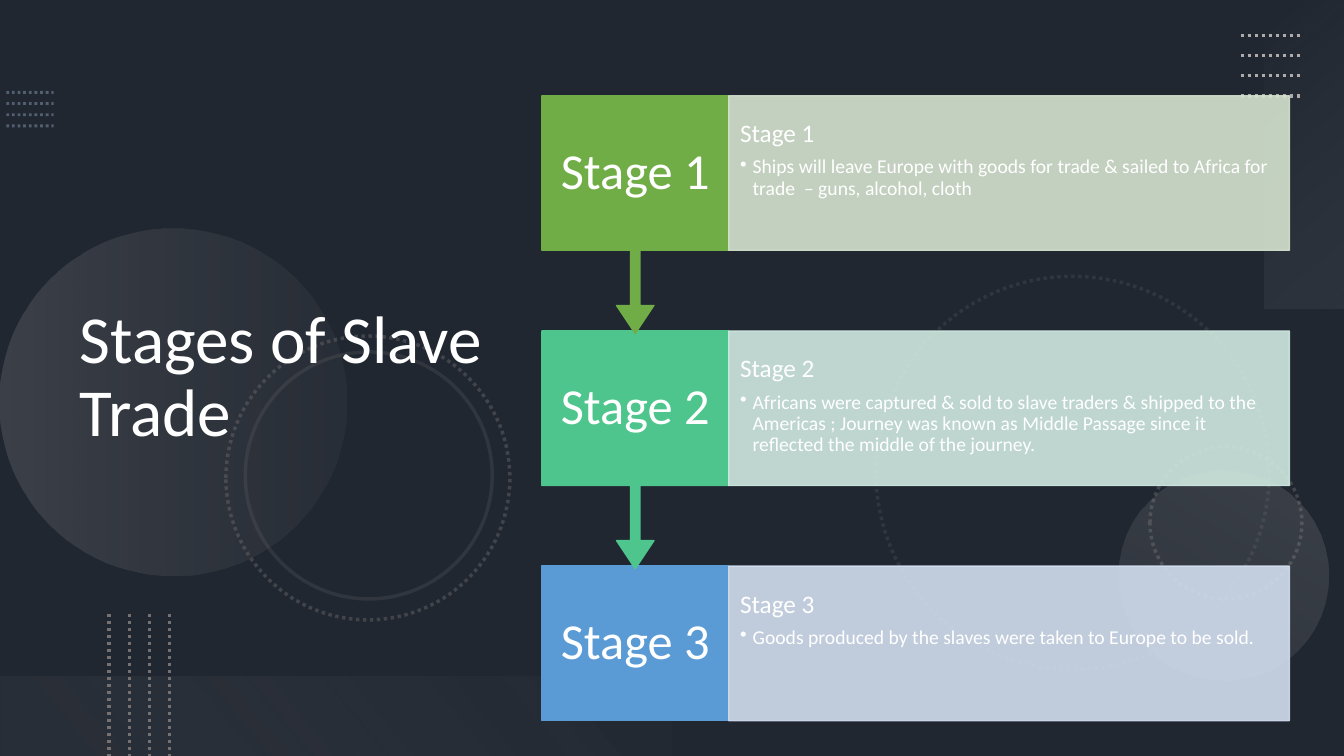
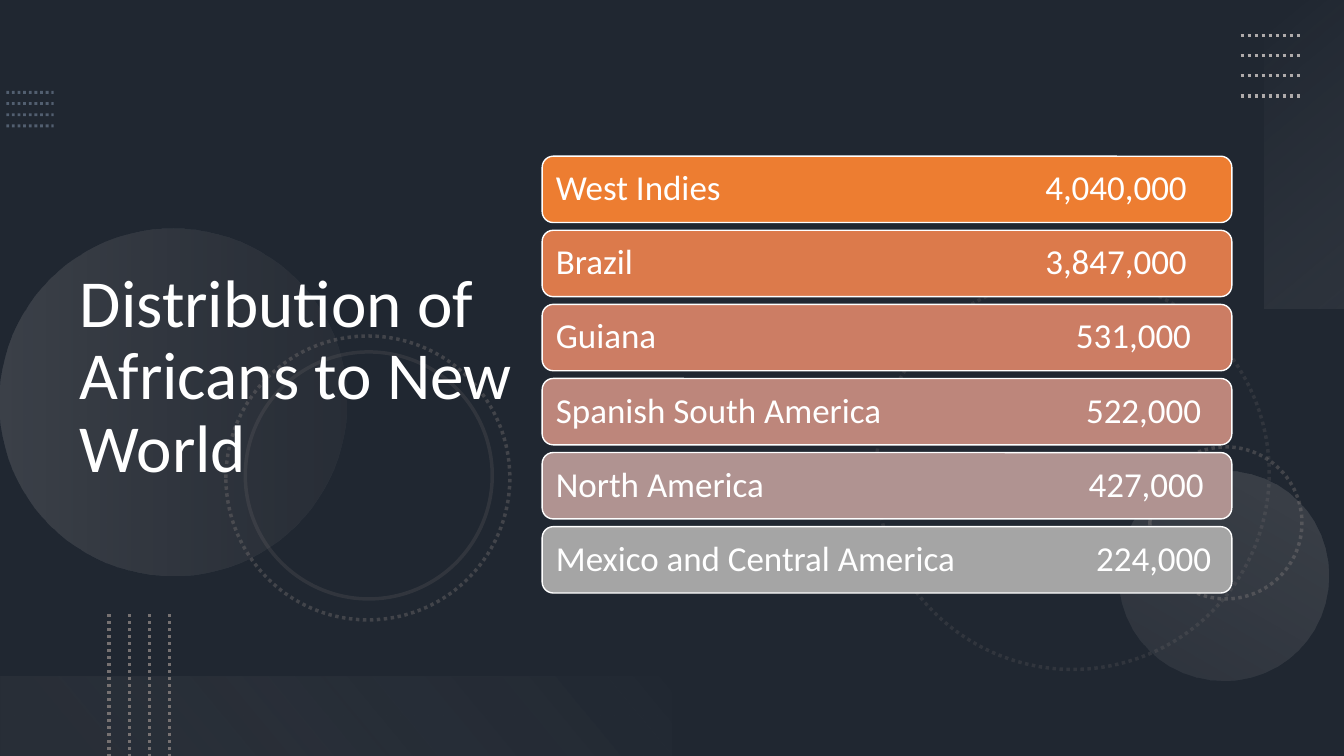
import lxml.etree
import pptx
import pptx.dml.color
import pptx.enum.dml
import pptx.enum.shapes
import pptx.enum.text
import pptx.oxml.ns
import pptx.util

# The slide is a grid of 160 columns by 90 rows, twelve cells to the inch
COLUMNS, ROWS = 160, 90
CELL = pptx.util.Inches(1) // 12
FONT = "Calibri"
COLORS = {
    "base": "44546A", "shade": "000000", "text": "FFFFFF",
    "mist": "8497B0", "gray": "767171", "silver": "AFABAB",
    "pale": "F5F5F5", "pearl": "F1F0F0",
    "green": "70AD47", "green_tint": "D5E3CF",
    "teal": "4DC58D", "teal_tint": "D0EAE1",
    "blue": "5B9BD5", "blue_tint": "D2DEEF",
    "bar1": "ED7D31", "bar2": "DC7A4B", "bar3": "CC7D64",
    "bar4": "BD867B", "bar5": "B09391", "bar6": "A5A5A5",
}
SHAPES = pptx.enum.shapes.MSO_SHAPE
ANCHOR = pptx.enum.text.MSO_ANCHOR
ALIGN = pptx.enum.text.PP_ALIGN

STAGES = [
    ("Stage 1", "green", "Ships will leave Europe with goods for trade & sailed to "
     "Africa for trade  – guns, alcohol, cloth"),
    ("Stage 2", "teal", "Africans were captured & sold to slave traders & shipped to "
     "the Americas ; Journey was known as Middle Passage since it reflected the "
     "middle of the journey."),
    ("Stage 3", "blue", "Goods produced by the slaves were taken to Europe to be sold."),
]
# Region, number of Africans, column where the number ends
REGIONS = [
    ("West Indies", "4,040,000", 75.1),
    ("Brazil", "3,847,000", 75.1),
    ("Guiana", "531,000", 75.6),
    ("Spanish South America", "522,000", 76.8),
    ("North America", "427,000", 77.1),
    ("Mexico and Central America", "224,000", 78),
]


def cells(count):
    return pptx.util.Emu(round(count * CELL))


def color(name):
    return pptx.dml.color.RGBColor.from_string(COLORS[name])


def add_xml(parent, tag, **attributes):
    return lxml.etree.SubElement(parent, pptx.oxml.ns.qn(tag), **attributes)


def paragraph_properties(shape):
    return list(shape.element.iter(pptx.oxml.ns.qn("a:pPr")))


def fade(shape, *opacities):
    """Set the opacity of the shape's colours, fill first and line last."""
    tints = list(shape.element.spPr.iter(pptx.oxml.ns.qn("a:srgbClr")))
    for tint, opacity in zip(tints, opacities):
        add_xml(tint, "a:alpha", val=str(opacity * 1000))


class Slides:
    def __init__(self):
        self.deck = pptx.Presentation()
        self.deck.slide_width = cells(COLUMNS)
        self.deck.slide_height = cells(ROWS)
        self.page = None

    def start(self, title):
        self.page = self.deck.slides.add_slide(self.deck.slide_layouts[5])
        self.page.background.fill.solid()
        self.page.background.fill.fore_color.rgb = color("base")
        self.backdrop()
        self.title(title)

    def title(self, text):
        box = self.page.shapes.title
        box.left, box.top = cells(8.3), cells(6.5)
        box.width, box.height = cells(55.1), cells(77)
        box.text_frame.auto_size = pptx.enum.text.MSO_AUTO_SIZE.NONE
        self.set_text(box, [(text, 48)], anchor=ANCHOR.MIDDLE)
        self.page.shapes.element.append(box.element)  # in front of the backdrop

    def set_text(self, box, lines, anchor=ANCHOR.TOP, align=ALIGN.LEFT, insets=None):
        """Set (text, size) lines; insets are across and down, in cells."""
        frame = box.text_frame
        frame.word_wrap = True
        frame.vertical_anchor = anchor
        if insets:
            frame.margin_left = frame.margin_right = cells(insets[0])
            frame.margin_top = frame.margin_bottom = cells(insets[1])
        frame.text = "\n".join(text for text, size in lines)
        for para, (text, size) in zip(frame.paragraphs, lines):
            para.alignment = align
            para.line_spacing = 0.9
            for span in para.runs:
                span.font.name = FONT
                span.font.size = pptx.util.Pt(size)
                span.font.color.rgb = color("text")

    def shape(self, kind, left, top, width, height, fill=None, line=None,
              weight=1, rotation=0):
        box = self.page.shapes.add_shape(
            kind, cells(left), cells(top), cells(width), cells(height))
        box.shadow.inherit = False
        box.rotation = rotation
        if fill:
            box.fill.solid()
            box.fill.fore_color.rgb = color(fill)
        else:
            box.fill.background()
        if line:
            box.line.color.rgb = color(line)
            box.line.width = pptx.util.Pt(weight)
        else:
            box.line.fill.background()
        return box

    def gradient(self, kind, place, rotation, angle, stops):
        """Fill with two stops, each a position, a colour and an opacity."""
        box = self.shape(kind, *place, rotation=rotation)
        box.fill.gradient()
        box.fill.gradient_angle = 360 - angle
        for stop, (position, name, opacity) in zip(box.fill.gradient_stops, stops):
            stop.position = position
            stop.color.rgb = color(name)
        fade(box, *(opacity for position, name, opacity in stops))

    def ring(self, left, top, size, opacity, dotted=True):
        ring = self.shape(SHAPES.OVAL, left, top, size, size, line="gray", weight=2.5)
        if dotted:
            ring.line.dash_style = pptx.enum.dml.MSO_LINE.ROUND_DOT
        fade(ring, opacity)

    def dotted_lines(self, left, top, width, height, step, name, weight=2.5, opacity=100):
        """Four dotted lines, stacked if flat and side by side if upright."""
        across, down = (0, step) if width else (step, 0)
        for index in range(4):
            x, y = left + index * across, top + index * down
            line = self.page.shapes.add_connector(
                pptx.enum.shapes.MSO_CONNECTOR.STRAIGHT,
                cells(x), cells(y), cells(x + width), cells(y + height))
            line.line.color.rgb = color(name)
            line.line.width = pptx.util.Pt(weight)
            line.line.dash_style = pptx.enum.dml.MSO_LINE.ROUND_DOT
            add_xml(line.element.spPr, "a:effectLst")
            fade(line, opacity)

    def backdrop(self):
        fade(self.shape(SHAPES.RECTANGLE, 0, 0, COLUMNS, ROWS, "shade"), 53)
        self.dotted_lines(0.75, 11, 5.65, 0, 1.33, "mist", 2, 50)
        # Rings and discs
        self.ring(104.3, 32.9, 46.8, 20)
        self.ring(136.9, 53.2, 18.1, 40)
        self.gradient(SHAPES.OVAL, (0, 27.2, 41.3, 41.3), 270, 90,
                      [(0, "silver", 20), (1, "gray", 10)])
        self.gradient(SHAPES.OVAL, (133.2, 56, 25, 25), 210, 90,
                      [(0, "silver", 10), (1, "silver", 20)])
        self.ring(26.9, 40, 33.8, 40)
        self.ring(29.2, 41.9, 29.4, 20, dotted=False)
        # Edge bands with their dotted lines
        self.gradient(SHAPES.RECTANGLE, (136.95, 13.7, 36.7, 9.4), 270, 140,
                      [(0, "pale", 0), (1, "silver", 10)])
        self.dotted_lines(147.7, 4.2, 7.2, 0, 2.4, "silver")
        self.gradient(SHAPES.RECTANGLE, (0, 80.6, 80, 9.4), 180, 140,
                      [(0.1, "gray", 10), (1, "pearl", 0)])
        self.dotted_lines(13, 73.1, 0, 16.9, 2.4, "gray")

    def stage(self, top, name, hue, detail, last):
        left, width, height = 64.5, 22.25, 18.4
        if last:
            label = self.shape(SHAPES.RECTANGLE, left, top, width, height, hue, hue)
        else:
            label = self.shape(SHAPES.DOWN_ARROW_CALLOUT, left, top, width,
                               height / 0.65, hue, hue)
            for index, share in enumerate((0.05, 0.1, 0.15, 0.65)):
                label.adjustments[index] = share
        self.set_text(label, [(name, 36)], ANCHOR.MIDDLE, ALIGN.CENTER, (1.5, 3.4))

        tint = hue + "_tint"
        panel = self.shape(SHAPES.RECTANGLE, left + width, top, 66.75, height, tint, tint)
        fade(panel, 90, 90)
        self.set_text(panel, [(name, 18), (detail, 14)], insets=(1.35, 3))
        panel.text_frame.paragraphs[0].space_after = pptx.util.Pt(6.3)
        bullet = paragraph_properties(panel)[1]
        bullet.set("marL", str(cells(1.5)))
        bullet.set("indent", str(cells(-1.5)))
        add_xml(bullet, "a:buChar", char="•")

    def bar(self, top, region, number, end, fill):
        bar = self.shape(SHAPES.ROUNDED_RECTANGLE, 64.55, top, 82.1, 7.9, fill, "text")
        self.set_text(bar, [(region + "\t" + number, 25)], ANCHOR.MIDDLE, insets=(1.25, 1.25))
        tabs = add_xml(paragraph_properties(bar)[0], "a:tabLst")
        add_xml(tabs, "a:tab", pos=str(cells(end)), algn="r")


def main():
    slides = Slides()

    # Stages, last one first so that each arrow tip lies over the next box
    slides.start("Stages of Slave Trade")
    for index, (name, hue, detail) in reversed(list(enumerate(STAGES))):
        slides.stage(11.4 + 28 * index, name, hue, detail, index == len(STAGES) - 1)

    # Regions
    slides.start("Distribution of Africans to New World")
    for index, (region, number, end) in enumerate(REGIONS):
        slides.bar(18.6 + 8.82 * index, region, number, end, f"bar{index + 1}")

    slides.deck.save("out.pptx")


if __name__ == "__main__":
    main()
